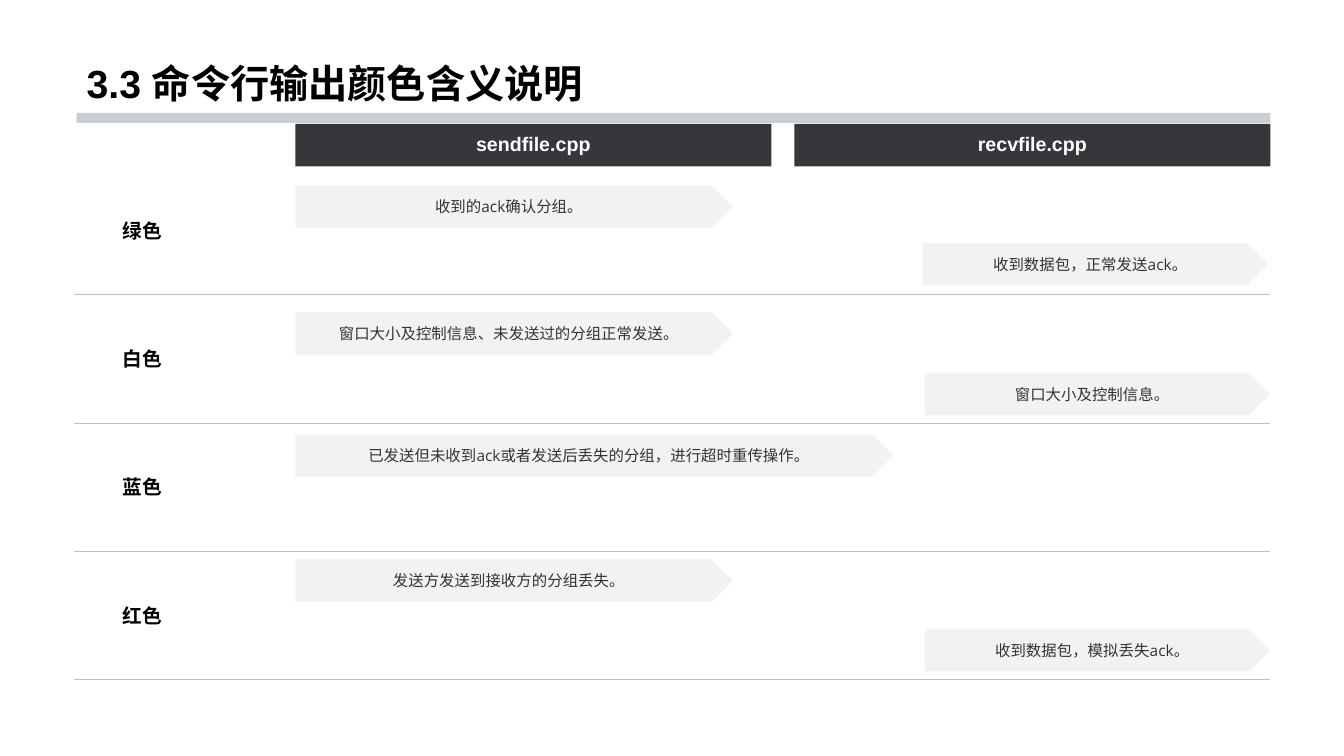
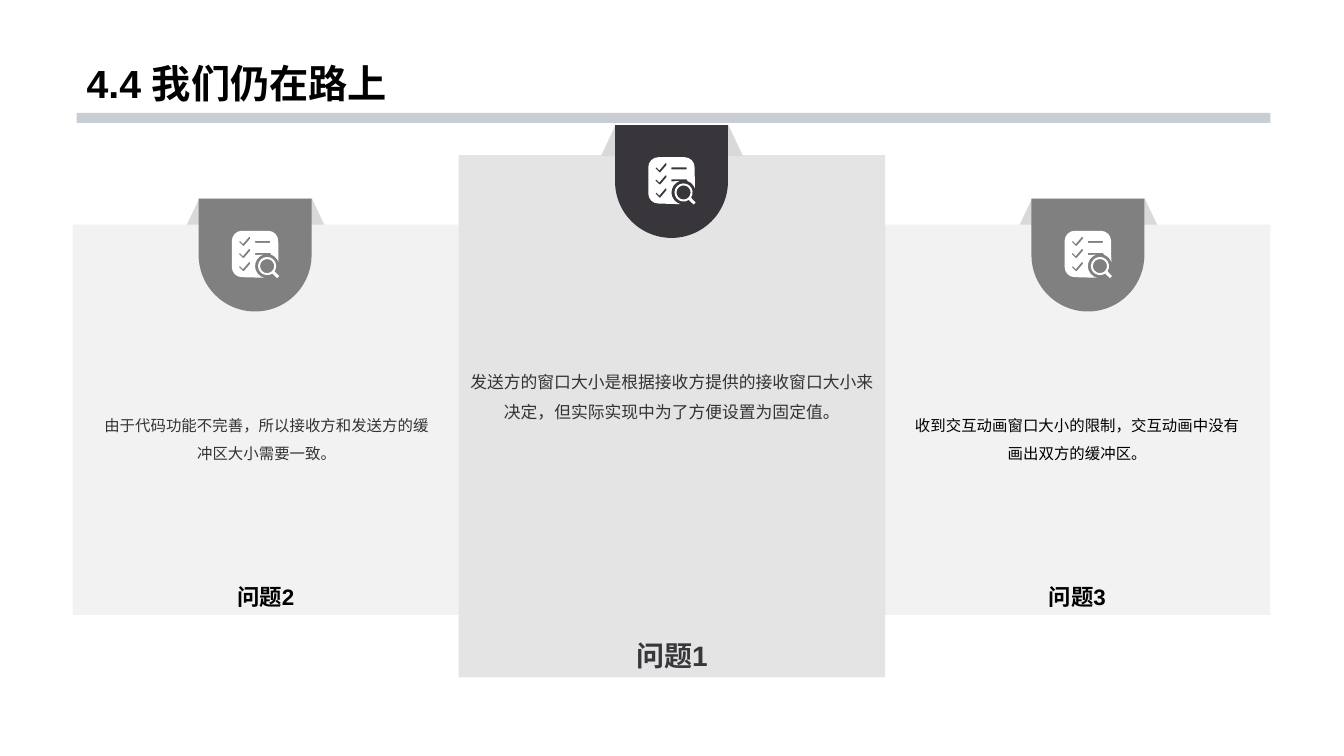
import dataclasses
import math

import lxml.etree
import pptx
import pptx.dml.color
import pptx.enum.lang
import pptx.enum.shapes
import pptx.enum.text
import pptx.oxml.ns
import pptx.util

Inches = pptx.util.Inches
Preset = pptx.enum.shapes.MSO_SHAPE
Anchor = pptx.enum.text.MSO_ANCHOR
Align = pptx.enum.text.PP_ALIGN


@dataclasses.dataclass(frozen=True)
class Theme:
    heading_font: str = "Arial"
    body_font: str = "Open Sans"
    black: str = "000000"
    white: str = "FFFFFF"
    dark: str = "38353B"
    body: str = "333333"
    band: str = "C9CED5"
    rule: str = "BFBFBF"
    pale: str = "F2F2F2"
    fold: str = "D9D9D9"
    grey: str = "808080"
    title_size: int = 28
    lead_size: int = 20
    card_size: int = 16
    label_size: int = 14
    lead_body_size: int = 12
    body_size: int = 11


THEME = Theme()


@dataclasses.dataclass(frozen=True)
class TextStyle:
    size: int
    color: str
    font: str = THEME.heading_font
    bold: bool = True


TITLE = TextStyle(THEME.title_size, THEME.black)
COLUMN = TextStyle(THEME.label_size, THEME.white)
ROW = TextStyle(THEME.label_size, THEME.black)
NOTE = TextStyle(THEME.body_size, THEME.body, THEME.body_font, False)
SIDE_NAME = TextStyle(THEME.card_size, THEME.black)
LEAD_NAME = TextStyle(THEME.lead_size, THEME.dark)
LEAD_NOTE = dataclasses.replace(NOTE, size=THEME.lead_body_size)
PLAIN_NOTE = TextStyle(THEME.body_size, THEME.black, bold=False)


@dataclasses.dataclass(frozen=True)
class Card:
    box: tuple
    badge_center: float
    badge_top: float
    badge_color: str
    fill: str
    opacity: int
    name: str
    name_style: TextStyle
    note: str
    note_box: tuple
    note_style: TextStyle


COLUMNS = ("sendfile.cpp", "recvfile.cpp")
COLOR_ROWS = ("绿色", "白色", "蓝色", "红色")
MEANINGS = (
    (2.93, 1.84, 4.34, "收到的ack确认分组。"),
    (9.15, 2.41, 3.43, "收到数据包，正常发送ack。"),
    (2.93, 3.1, 4.34, "窗口大小及控制信息、未发送过的分组正常发送。"),
    (9.17, 3.7, 3.43, "窗口大小及控制信息。"),
    (2.93, 4.31, 5.93, "已发送但未收到ack或者发送后丢失的分组，进行超时重传操作。"),
    (2.93, 5.55, 4.34, "发送方发送到接收方的分组丢失。"),
    (9.17, 6.24, 3.43, "收到数据包，模拟丢失ack。"),
)
CARDS = (
    Card((8.77, 2.23, 3.83, 3.87), 10.79, 1.97, THEME.grey, THEME.pale, 100,
         "问题3", SIDE_NAME,
         "收到交互动画窗口大小的限制，交互动画中没有画出双方的缓冲区。",
         (8.95, 3.21, 3.47, 2.21), PLAIN_NOTE),
    Card((0.72, 2.23, 3.83, 3.87), 2.53, 1.97, THEME.grey, THEME.pale, 100,
         "问题2", SIDE_NAME,
         "由于代码功能不完善，所以接收方和发送方的缓冲区大小需要一致。",
         (0.91, 3.21, 3.47, 2.21), NOTE),
    Card((4.55, 1.54, 4.23, 5.18), 6.66, 1.24, THEME.dark, THEME.fold, 70,
         "问题1", LEAD_NAME,
         "发送方的窗口大小是根据接收方提供的接收窗口大小来决定，但实际实现中为了方便设置为固定值。",
         (4.55, 2.78, 4.23, 2.21), LEAD_NOTE),
)


def rgb(color):
    return pptx.dml.color.RGBColor.from_string(color)


def write(frame, text, style, align=Align.CENTER, anchor=Anchor.MIDDLE,
          spacing=1.0, wrap=True):
    frame.word_wrap = wrap
    frame.vertical_anchor = anchor
    paragraph = frame.paragraphs[0]
    paragraph.alignment = align
    paragraph.line_spacing = spacing
    run = paragraph.add_run()
    run.text = text
    font = run.font
    font.name = style.font
    font.size = pptx.util.Pt(style.size)
    font.bold = style.bold
    font.color.rgb = rgb(style.color)
    font.language_id = pptx.enum.lang.MSO_LANGUAGE_ID.SIMPLIFIED_CHINESE


def paint(shape, fill):
    shape.shadow.inherit = False
    shape.fill.solid()
    shape.fill.fore_color.rgb = rgb(fill)
    shape.line.fill.background()


def add_block(slide, preset, box, fill, adjustments=(), opacity=100):
    block = slide.shapes.add_shape(preset, *map(Inches, box))
    paint(block, fill)
    for index, value in enumerate(adjustments):
        block.adjustments[index] = value
    if opacity < 100:
        color = block.element.spPr.find(".//" + pptx.oxml.ns.qn("a:srgbClr"))
        alpha = lxml.etree.SubElement(color, pptx.oxml.ns.qn("a:alpha"))
        alpha.set("val", str(opacity * 1000))
    return block


def add_label(slide, box, text, style, spacing=1.0):
    label = slide.shapes.add_textbox(*map(Inches, box))
    write(label.text_frame, text, style, spacing=spacing)


def add_rule(slide, start, end):
    rule = slide.shapes.add_connector(
        pptx.enum.shapes.MSO_CONNECTOR.STRAIGHT, *map(Inches, start + end))
    rule.line.color.rgb = rgb(THEME.rule)
    rule.line.width = pptx.util.Pt(0.25)
    lxml.etree.SubElement(rule.element.spPr, pptx.oxml.ns.qn("a:effectLst"))


def arc(x, y, radius, start, end, steps):
    angles = [math.radians(start + (end - start) * step / steps)
              for step in range(steps + 1)]
    return [(x + radius * math.cos(angle), y + radius * math.sin(angle))
            for angle in angles]


def checklist_contours():
    sheet = (arc(0.1, 0.36, 0.1, 90, 180, 4) + arc(0.1, 0.1, 0.1, 180, 270, 4)
             + arc(0.36, 0.1, 0.1, 270, 360, 4)
             + arc(0.35, 0.35, 0.12, -20, -70, 3)
             + [(0.38, 0.22), (0.23, 0.22), (0.23, 0.24)]
             + arc(0.35, 0.35, 0.12, -110, -255, 8))
    entry = [(0.23, 0.1), (0.38, 0.1), (0.38, 0.12), (0.23, 0.12)]
    tick = [(0.18, 0.06), (0.17, 0.06), (0.11, 0.13), (0.08, 0.1),
            (0.07, 0.11), (0.11, 0.15), (0.12, 0.15), (0.18, 0.08)]
    ticks = [[(x, y + drop) for x, y in tick] for drop in (0, 0.12, 0.25)]
    magnifier = arc(0.35, 0.35, 0.09, 55, 395, 16) + [(0.47, 0.45), (0.45, 0.47)]
    lens = arc(0.35, 0.35, 0.07, 0, 345, 15)
    return [sheet, entry, *ticks, magnifier, lens]


def add_checklist_icon(slide, left, top):
    contours = [[(Inches(left + x), Inches(top + y)) for x, y in contour]
                for contour in checklist_contours()]
    first, *others = contours
    builder = slide.shapes.build_freeform(*first[0])
    builder.add_line_segments(first[1:])
    for contour in others:
        builder.move_to(*contour[0])
        builder.add_line_segments(contour[1:])
    paint(builder.convert_to_shape(), THEME.white)


def style_layout(layout, slide):
    title = layout.placeholders[0]
    title.left, title.top = Inches(0.76), Inches(0)
    title.width, title.height = Inches(11.81), Inches(1.11)
    band = add_block(slide, Preset.RECTANGLE, (0.76, 1.12, 11.84, 0.1), THEME.band)
    layout.shapes.element.append(band.element)


def set_title(slide, text):
    frame = slide.shapes.title.text_frame
    frame.auto_size = pptx.enum.text.MSO_AUTO_SIZE.NONE
    write(frame, text, TITLE, Align.LEFT, Anchor.BOTTOM, 0.9)


def add_color_meanings(slide):
    set_title(slide, "3.3 命令行输出颜色含义说明")
    for index, name in enumerate(COLUMNS):
        header = add_block(slide, Preset.RECTANGLE,
                           (2.93 + 4.95 * index, 1.23, 4.72, 0.42), THEME.dark)
        write(header.text_frame, name, COLUMN, spacing=0.9)
    first_top, last_bottom = 1.65, 6.74
    height = (last_bottom - first_top) / len(COLOR_ROWS)
    for index, name in enumerate(COLOR_ROWS):
        top = first_top + height * index
        add_rule(slide, (0.73, top + height), (12.6, top + height))
        add_label(slide, (0.73, top, 1.36, height), name, ROW)
    for left, top, width, text in MEANINGS:
        arrow = add_block(slide, Preset.PENTAGON, (left, top, width, 0.42), THEME.pale)
        write(arrow.text_frame, text, NOTE)


def add_card(slide, card):
    center, top = card.badge_center, card.badge_top
    add_block(slide, Preset.TRAPEZOID, (center - 0.7, top, 1.41, 0.31),
              THEME.fold, [0.47])
    panel = add_block(slide, Preset.RECTANGLE, card.box, card.fill,
                      opacity=card.opacity)
    write(panel.text_frame, card.name, card.name_style,
          anchor=Anchor.BOTTOM, wrap=False)
    add_block(slide, Preset.ROUND_2_SAME_RECTANGLE,
              (center - 0.56, top, 1.12, 1.12), card.badge_color, [0, 0.5])
    add_checklist_icon(slide, center - 0.23, top + 0.32)
    add_label(slide, card.note_box, card.note, card.note_style, spacing=1.5)


def add_open_problems(slide):
    set_title(slide, "4.4 我们仍在路上")
    for card in CARDS:
        add_card(slide, card)


def main():
    deck = pptx.Presentation()
    deck.slide_width, deck.slide_height = Inches(13.33), Inches(7.5)
    layout = deck.slide_layouts[5]
    meanings = deck.slides.add_slide(layout)
    problems = deck.slides.add_slide(layout)
    style_layout(layout, meanings)
    add_color_meanings(meanings)
    add_open_problems(problems)
    deck.save("out.pptx")


if __name__ == "__main__":
    main()
